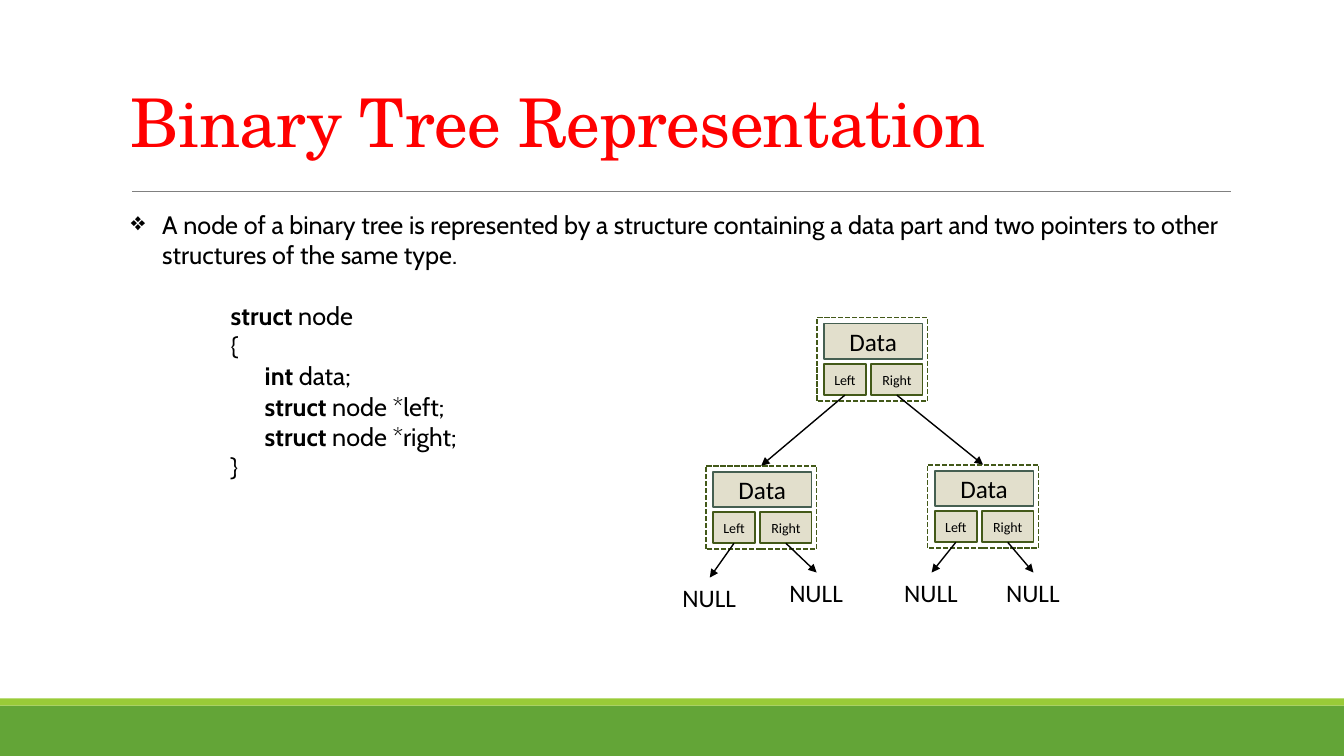
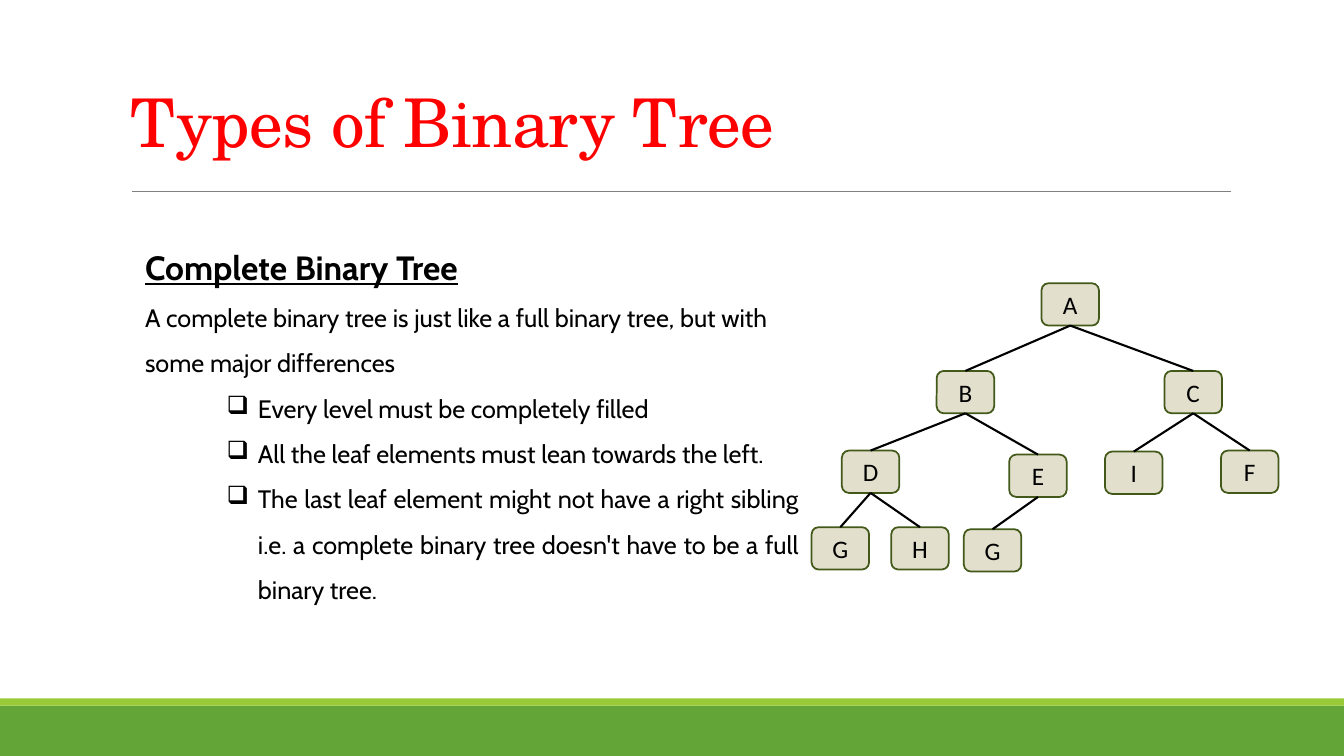
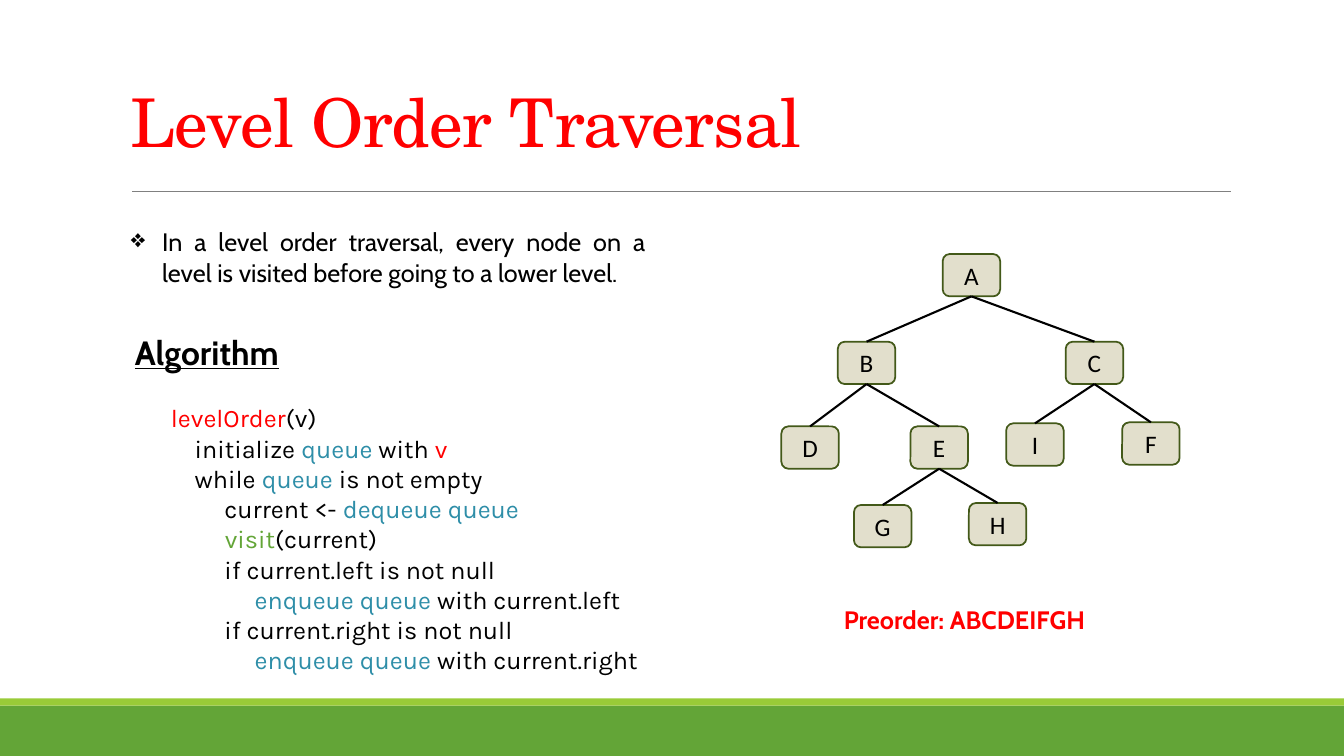
from lxml.etree import SubElement
from pptx import Presentation
from pptx.dml.color import RGBColor
from pptx.enum.dml import MSO_LINE
from pptx.enum.shapes import MSO_CONNECTOR, MSO_SHAPE
from pptx.enum.text import MSO_ANCHOR, PP_ALIGN
from pptx.oxml.ns import qn
from pptx.util import Pt

EMU_PER_PX = 9144
BLACK, RED, BLUE, GREEN, LIME = "000000", "FF0000", "2E8EA8", "63A537", "99CB38"
GREY, SAND, OLIVE, SLATE = "808080", "E2DFCC", "435919", "455F51"
BODY, TITLE, LABEL, CODE = "Cabin", "TeX Gyre Schola", "Calibri", "Karla"
TOP, BOTTOM = 0, 2


def px(length):
    return length * EMU_PER_PX


def rgb(value):
    return RGBColor.from_string(value)


class Deck:
    width, height = 1333, 750
    node_width, node_height = 57, 42

    def __init__(self):
        self.presentation = Presentation()
        self.presentation.slide_width = px(self.width)
        self.presentation.slide_height = px(self.height)
        self.slide = None

    def new_slide(self, title):
        self.slide = self.presentation.slides.add_slide(self.presentation.slide_layouts[6])
        self.box(0, 700, self.width, 50, fill=GREEN)
        self.box(0, 693, self.width, 7, fill=LIME)
        rule = self.slide.shapes.add_connector(
            MSO_CONNECTOR.STRAIGHT, px(131), px(190), px(1221), px(190))
        self.style_connector(rule, GREY, 0.5)
        heading = self.text_box(120, 6, 1100, 159)
        heading.vertical_anchor = MSO_ANCHOR.BOTTOM
        paragraph = self.paragraph(heading, [title], size=48, font=TITLE, color=RED, spacing=0.85)
        paragraph.runs[0].font._element.set("spc", "-50")

    def box(self, x, y, w, h, fill=None, line=None, label=None, size=18,
            preset=MSO_SHAPE.RECTANGLE, dashed=False):
        shape = self.slide.shapes.add_shape(preset, px(x), px(y), px(w), px(h))
        shape.shadow.inherit = False
        if fill:
            shape.fill.solid()
            shape.fill.fore_color.rgb = rgb(fill)
        else:
            shape.fill.background()
        if line:
            shape.line.color.rgb = rgb(line)
            shape.line.width = Pt(1.25)
            if dashed:
                shape.line.dash_style = MSO_LINE.SQUARE_DOT
        else:
            shape.line.fill.background()
        if label:
            frame = shape.text_frame
            frame.margin_left = frame.margin_right = 0
            frame.margin_top = frame.margin_bottom = 0
            frame.vertical_anchor = MSO_ANCHOR.MIDDLE
            self.paragraph(frame, [label], size=size, font=LABEL, align=PP_ALIGN.CENTER)
        return shape

    def text_box(self, x, y, w, h):
        frame = self.slide.shapes.add_textbox(px(x), px(y), px(w), px(h)).text_frame
        frame.word_wrap = True
        return frame

    def paragraph(self, frame, runs, size=18, font=BODY, color=BLACK, bold=False, underline=False,
                  align=PP_ALIGN.LEFT, spacing=None, before=0, bullet=None, indent=31):
        first = frame.paragraphs[0]
        paragraph = frame.add_paragraph() if first.runs else first
        if bullet:
            properties = paragraph._p.get_or_add_pPr()
            properties.set("marL", str(px(indent)))
            properties.set("indent", str(px(-31)))
            SubElement(properties, qn("a:buChar")).set("char", bullet)
        paragraph.alignment = align
        if spacing:
            paragraph.line_spacing = spacing
        if before:
            paragraph.space_before = Pt(before)
        paragraph.font.size = Pt(size)
        paragraph.font.name = font
        mixed_bold = any(emphasis == "bold" for _, emphasis in map(self.split_run, runs))
        mixed_color = any(emphasis not in (None, "bold") for _, emphasis in map(self.split_run, runs))
        if not mixed_bold:
            paragraph.font.bold = bold
        if not mixed_color:
            paragraph.font.color.rgb = rgb(color)
        if underline:
            paragraph.font.underline = True
        for text, emphasis in map(self.split_run, runs):
            run = paragraph.add_run()
            run.text = text
            if mixed_bold:
                run.font.bold = emphasis == "bold"
            if mixed_color:
                run.font.color.rgb = rgb(emphasis or color)
        return paragraph

    @staticmethod
    def split_run(run):
        return (run, None) if isinstance(run, str) else run

    def style_connector(self, connector, color, width, arrow=False):
        connector.line.color.rgb = rgb(color)
        connector.line.width = Pt(width)
        if arrow:
            SubElement(connector.line._get_or_add_ln(), qn("a:tailEnd")).set("type", "triangle")
        SubElement(connector._element.spPr, qn("a:effectLst"))

    def edge(self, parent, child, width=1.5, arrow=False):
        connector = self.slide.shapes.add_connector(MSO_CONNECTOR.STRAIGHT, 0, 0, 0, 0)
        connector.begin_connect(parent, BOTTOM)
        connector.end_connect(child, TOP)
        self.style_connector(connector, BLACK, width, arrow)

    def tree(self, nodes):
        drawn = [
            self.box(x, y, self.node_width, self.node_height, SAND, OLIVE, label,
                     preset=MSO_SHAPE.ROUNDED_RECTANGLE)
            for label, x, y, _ in nodes
        ]
        for child, (_, _, _, parent) in zip(drawn, nodes):
            if parent is not None:
                self.edge(drawn[parent], child)

    def record(self, x, y):
        self.box(x + 7, y + 6, 98, 35, SAND, SLATE, "Data")
        left = self.box(x + 7, y + 46, 42, 31, SAND, OLIVE, "Left", size=10)
        right = self.box(x + 54, y + 46, 51, 31, SAND, OLIVE, "Right", size=10)
        frame = self.box(x, y, 110, 83, line=OLIVE, dashed=True)
        return frame, left, right

    def null(self, x, y):
        target = self.slide.shapes.add_textbox(px(x), px(y), px(74), px(40))
        target.text_frame.word_wrap = False
        self.paragraph(target.text_frame, ["NULL"], font=LABEL)
        return target


def representation(deck):
    deck.new_slide("Binary Tree Representation")
    intro = deck.text_box(120, 203, 1100, 70)
    deck.paragraph(intro, [
        "A node of a binary tree is represented by a structure containing a data part "
        "and two pointers to other structures of the same type."], bullet="❖")
    struct = deck.text_box(219, 293, 400, 190)
    for line in (
        [("struct", "bold"), " node"],
        ["{"],
        ["      ", ("int", "bold"), " data;"],
        ["      ", ("struct", "bold"), " node *left;"],
        ["      ", ("struct", "bold"), " node *right;"],
        ["}"],
    ):
        deck.paragraph(struct, line)

    _, *root_pointers = deck.record(810, 315)
    children = [deck.record(700, 462), deck.record(920, 461)]
    nulls = [[(667, 573), (773, 568)], [(887, 568), (988, 568)]]
    for root_pointer, (frame, *pointers), places in zip(root_pointers, children, nulls):
        deck.edge(root_pointer, frame, 1, arrow=True)
        for pointer, place in zip(pointers, places):
            deck.edge(pointer, deck.null(*place), 1, arrow=True)


def complete_tree(deck):
    deck.new_slide("Types of Binary Tree")
    definition = deck.text_box(134, 220, 668, 419)
    deck.paragraph(definition, ["Complete Binary Tree"], size=24, bold=True, underline=True,
                   spacing=1.5)
    deck.paragraph(definition, [
        "A complete binary tree is just like a full binary tree, but with some major differences"],
        spacing=1.5)
    for difference in (
        "Every level must be completely filled",
        "All the leaf elements must lean towards the left.",
        "The last leaf element might not have a right sibling i.e. a complete binary tree "
        "doesn't have to be a full binary tree.",
    ):
        deck.paragraph(definition, [difference], align=PP_ALIGN.JUSTIFY, spacing=1.5,
                       bullet="❑", indent=112)
    deck.tree([
        ("A", 1033, 281, None), ("B", 929, 368, 0), ("C", 1155, 368, 0),
        ("D", 835, 447, 1), ("E", 1001, 451, 1), ("F", 1211, 447, 2), ("I", 1096, 448, 2),
        ("H", 884, 523, 3), ("G", 805, 523, 3), ("G", 956, 525, 4),
    ])


def level_order(deck):
    deck.new_slide("Level Order Traversal")
    intro = deck.text_box(120, 220, 530, 101)
    deck.paragraph(intro, [
        "In a level order traversal, every node on a level is visited before going to a lower level."],
        align=PP_ALIGN.JUSTIFY, bullet="❖")
    algorithm = deck.text_box(124, 324, 602, 353)
    deck.paragraph(algorithm, ["Algorithm"], size=24, bold=True, underline=True)
    deck.paragraph(algorithm, ["      ", ("levelOrder", RED), "(v)"], font=CODE, before=22)
    for line in (
        ["          initialize ", ("queue", BLUE), " with ", ("v", RED)],
        ["          while ", ("queue", BLUE), " is not empty"],
        ["               current <- ", ("dequeue queue", BLUE)],
        ["               ", ("visit", GREEN), "(current)"],
        ["               if current.left is not null"],
        ["                    ", ("enqueue queue", BLUE), " with current.left"],
        ["               if current.right is not null"],
        ["                    ", ("enqueue queue", BLUE), " with current.right"],
    ):
        deck.paragraph(algorithm, line, font=CODE)
    deck.tree([
        ("A", 935, 252, None), ("B", 831, 339, 0), ("C", 1057, 339, 0),
        ("D", 775, 423, 1), ("E", 903, 423, 1), ("F", 1113, 419, 2), ("I", 998, 420, 2),
        ("H", 961, 499, 4), ("G", 847, 501, 4),
    ])
    visited = deck.text_box(827, 595, 265, 40)
    deck.paragraph(visited, ["Preorder: ABCDEIFGH"], color=RED, bold=True)


def main():
    deck = Deck()
    representation(deck)
    complete_tree(deck)
    level_order(deck)
    deck.presentation.save("out.pptx")


if __name__ == "__main__":
    main()
